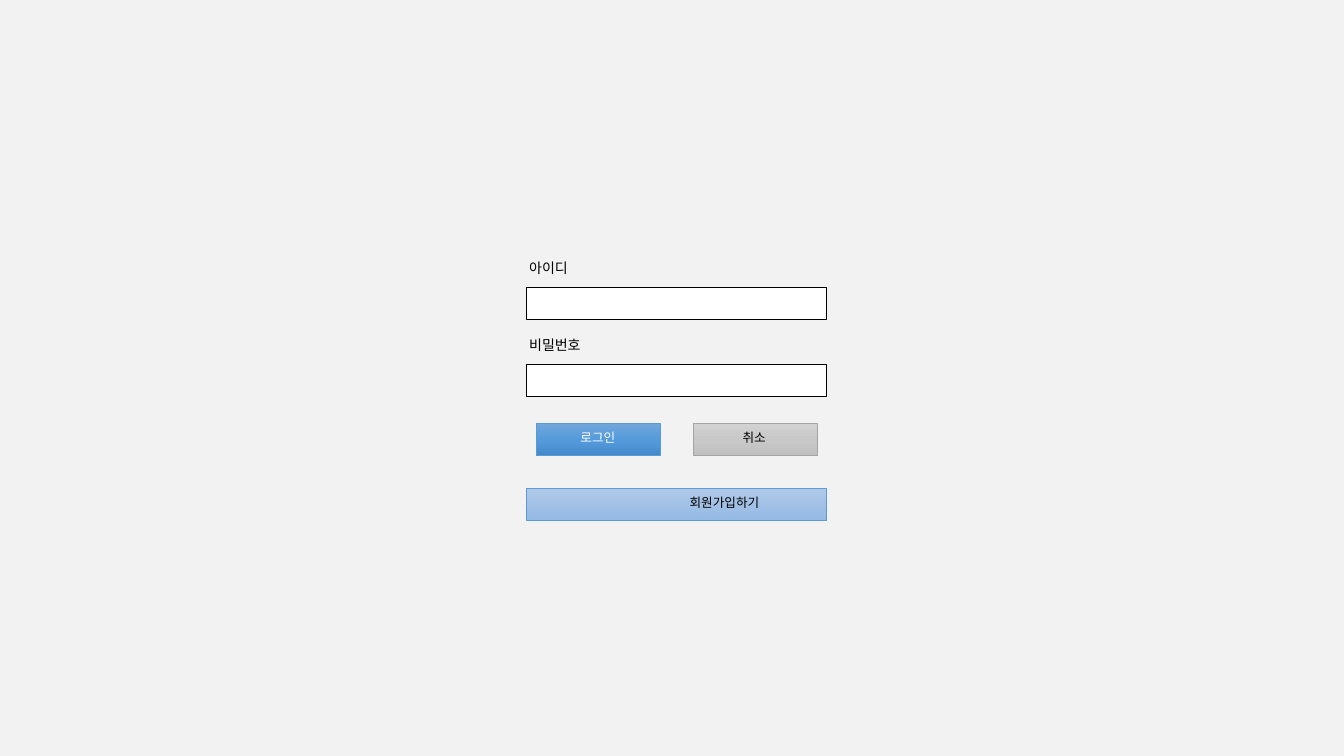
from copy import deepcopy

from lxml.etree import SubElement
from pptx import Presentation
from pptx.dml.color import RGBColor
from pptx.enum.shapes import MSO_SHAPE
from pptx.enum.text import MSO_AUTO_SIZE, PP_ALIGN
from pptx.oxml.ns import qn
from pptx.util import Inches, Pt

FONT = "Noto Sans CJK KR"
BACKGROUND = RGBColor(0xF2, 0xF2, 0xF2)
WHITE = RGBColor(0xFF, 0xFF, 0xFF)
BLACK = RGBColor(0x00, 0x00, 0x00)
BLUE_LINE = RGBColor(0x5B, 0x9B, 0xD5)
GRAY_LINE = RGBColor(0xA5, 0xA5, 0xA5)
BLUE = [RGBColor(0x71, 0xA6, 0xDB), RGBColor(0x55, 0x9B, 0xDB), RGBColor(0x44, 0x8A, 0xCA)]
GRAY = [RGBColor(0xD2, 0xD2, 0xD2), RGBColor(0xC8, 0xC8, 0xC8), RGBColor(0xC0, 0xC0, 0xC0)]
PALE_BLUE = [RGBColor(0xB1, 0xCB, 0xE9), RGBColor(0xA3, 0xC1, 0xE5), RGBColor(0x93, 0xB9, 0xE4)]

FORM_LEFT, FORM_WIDTH = 5.22, 2.98
BOX_HEIGHT = 0.32
BUTTON_TOP, BUTTON_WIDTH = 4.2, 1.23
JOIN_TOP = 4.84


def add_box(s, left, top, width, line_color):
    sp = s.shapes.add_shape(MSO_SHAPE.RECTANGLE, Inches(left), Inches(top),
                            Inches(width), Inches(BOX_HEIGHT))
    sp.shadow.inherit = False
    sp.line.color.rgb = line_color
    sp.line.width = Pt(0.5)
    return sp


def add_label(s, text, left, top, width, height, size, color, align):
    tb = s.shapes.add_textbox(Inches(left), Inches(top), Inches(width), Inches(height))
    tf = tb.text_frame
    tf.word_wrap = True
    tf.auto_size = MSO_AUTO_SIZE.SHAPE_TO_FIT_TEXT
    p = tf.paragraphs[0]
    p.alignment = align
    r = p.add_run()
    r.text = text
    for name, value in {"name": FONT, "size": Pt(size)}.items():
        setattr(r.font, name, value)
    r.font.color.rgb = color
    SubElement(r.font._element, qn("a:ea")).set("typeface", FONT)


def add_field(s, text, top):
    add_label(s, text, 5.15, top, 1.11, 0.27, 10, BLACK, PP_ALIGN.LEFT)
    sp = add_box(s, FORM_LEFT, top + 0.32, FORM_WIDTH, BLACK)
    sp.fill.solid()
    sp.fill.fore_color.rgb = WHITE


def add_button(s, left, top, width, colors, line_color):
    sp = add_box(s, left, top, width, line_color)
    sp.fill.gradient()
    sp.fill.gradient_angle = 270
    stops = sp.element.spPr.find(f".//{qn('a:gsLst')}")
    stops.insert(1, deepcopy(stops[0]))
    for i, (stop, color) in enumerate(zip(sp.fill.gradient_stops, colors)):
        stop.position = i / 2
        stop.color.rgb = color


def main():
    prs = Presentation()
    prs.slide_width = Inches(13.33)
    prs.slide_height = Inches(7.5)
    s = prs.slides.add_slide(prs.slide_layouts[6])
    s.background.fill.solid()
    s.background.fill.fore_color.rgb = BACKGROUND

    add_field(s, "아이디", 2.53)
    add_field(s, "비밀번호", 3.29)

    add_button(s, 5.32, BUTTON_TOP, BUTTON_WIDTH, BLUE, BLUE_LINE)
    add_button(s, 6.88, BUTTON_TOP, BUTTON_WIDTH, GRAY, GRAY_LINE)
    add_button(s, FORM_LEFT, JOIN_TOP, FORM_WIDTH, PALE_BLUE, BLUE_LINE)

    for text, left, top, width, color in [
        ("로그인", 5.56, 4.22, 0.74, WHITE),
        ("취소", 7.11, 4.22, 0.74, BLACK),
        ("회원가입하기", 6.18, 4.86, 2.01, BLACK),
    ]:
        add_label(s, text, left, top, width, 0.25, 9, color, PP_ALIGN.CENTER)

    prs.save("out.pptx")


if __name__ == "__main__":
    main()
